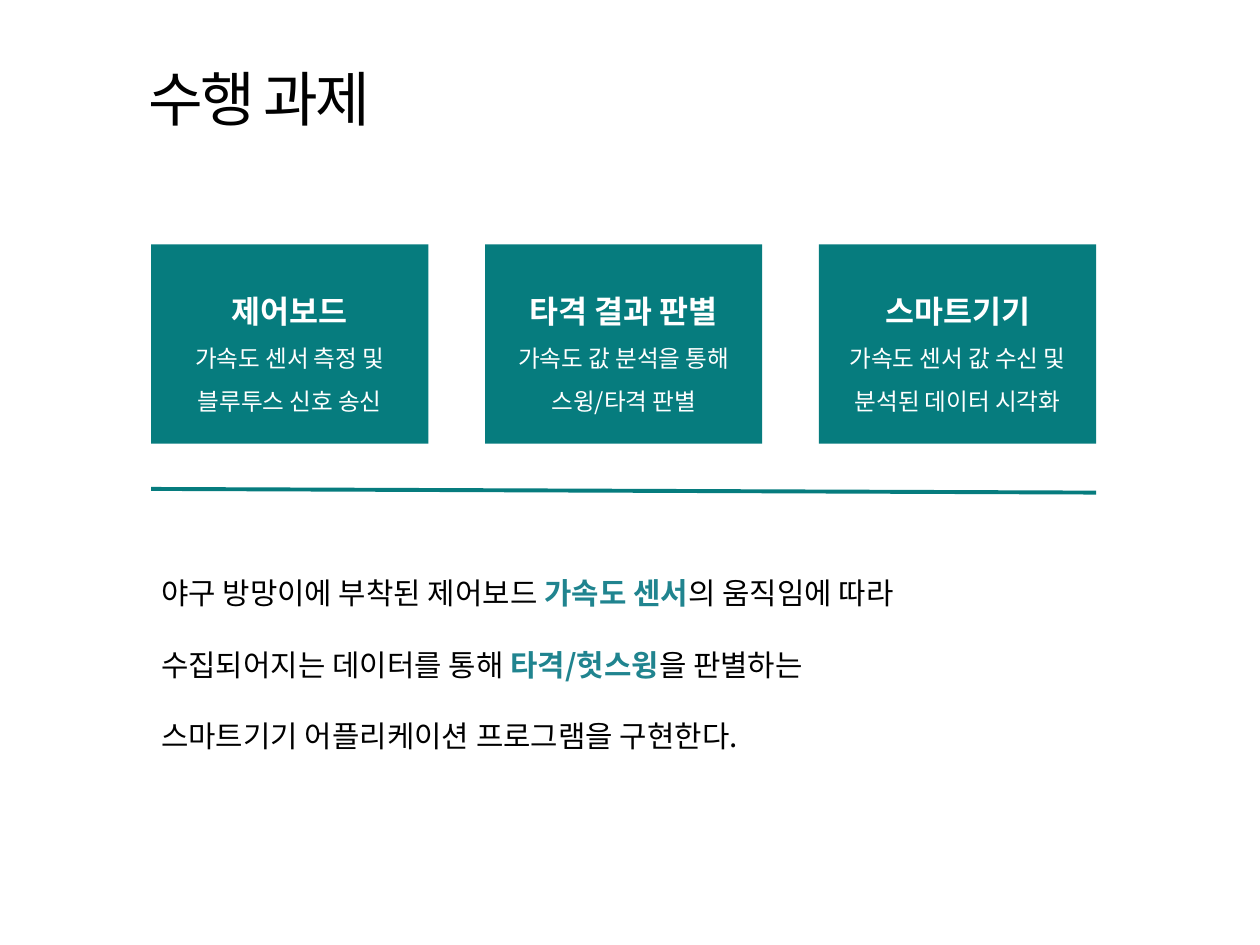
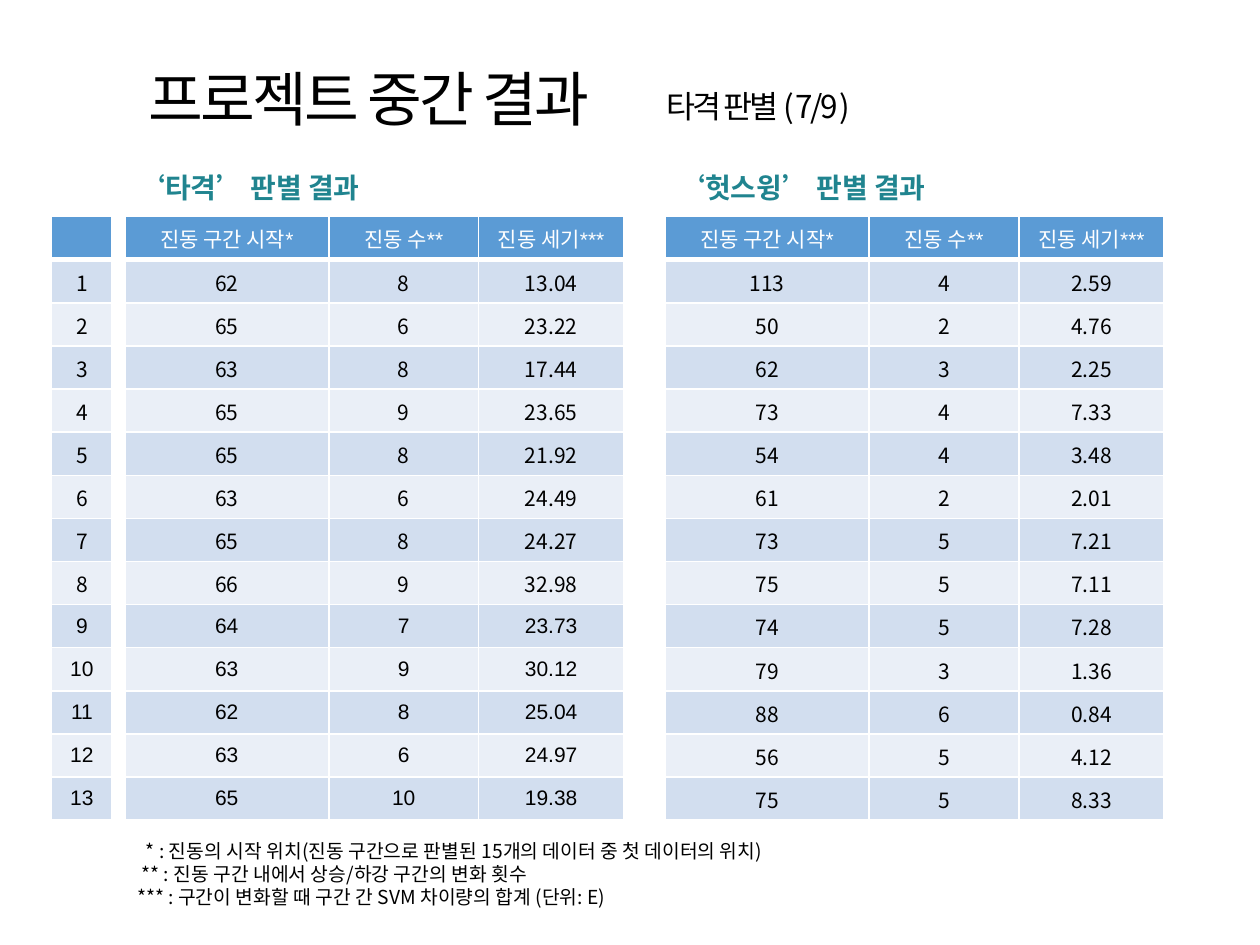
import pptx
import pptx.dml.color
import pptx.enum.shapes
import pptx.enum.text
import pptx.oxml.ns
import pptx.util
from lxml import etree

Pt = pptx.util.Pt
RGB = pptx.dml.color.RGBColor
ALIGN = pptx.enum.text.PP_ALIGN
MIDDLE = pptx.enum.text.MSO_ANCHOR.MIDDLE
qn = pptx.oxml.ns.qn

BLACK = RGB(0x00, 0x00, 0x00)
WHITE = RGB(0xFF, 0xFF, 0xFF)
TEAL = RGB(0x06, 0x7C, 0x7E)
ACCENT = RGB(0x20, 0x84, 0x8F)
HEAD = RGB(0x5B, 0x9B, 0xD5)
BANDS = (RGB(0xD2, 0xDE, 0xEF), RGB(0xEA, 0xEF, 0xF7))
NOTO = "Noto Sans CJK KR"
ARIAL = "Arial"


class Deck:
    def __init__(self):
        self.prs = pptx.Presentation()
        self.prs.slide_width = Pt(720)
        self.prs.slide_height = Pt(540)

    def page(self, title):
        self.slide = self.prs.slides.add_slide(self.prs.slide_layouts[6])
        self.text(77.8, 25.9, 301.7, 64.8, [title], 34, name=ARIAL,
                  gap=0.9, track=-150, anchor=MIDDLE)

    def style(self, para, size, color=BLACK, bold=False, name=NOTO, track=0):
        font = para.font
        font.size, font.bold, font.name = Pt(size), bold, name
        font.color.rgb = color
        props = font._element
        etree.SubElement(props, qn("a:ea")).set("typeface", NOTO)
        if track:
            props.set("spc", str(track))

    def text(self, x, y, w, h, lines, size, color=BLACK, bold=False,
             name=NOTO, gap=1, track=0, anchor=None, dents=()):
        box = self.slide.shapes.add_textbox(Pt(x), Pt(y), Pt(w), Pt(h))
        frame = box.text_frame
        frame.word_wrap = True
        if anchor is not None:
            frame.vertical_anchor = anchor
        for i, line in enumerate(lines):
            para = frame.add_paragraph() if i else frame.paragraphs[0]
            para.line_spacing = gap
            self.style(para, size, color, bold, name, track)
            if dents:
                para._p.get_or_add_pPr().set("marL", str(Pt(dents[i])))
            for j, part in enumerate(line.split("|")):
                run = para.add_run()
                run.text = part
                if j % 2:
                    run.font.bold = True
                    run.font.color.rgb = ACCENT

    def card(self, x, y, w, h, lines):
        box = self.slide.shapes.add_shape(
            pptx.enum.shapes.MSO_SHAPE.RECTANGLE, Pt(x), Pt(y), Pt(w), Pt(h))
        box.shadow.inherit = False
        box.fill.solid()
        box.fill.fore_color.rgb = TEAL
        box.line.fill.background()
        frame = box.text_frame
        frame.vertical_anchor = MIDDLE
        frame.text = "\n".join(lines)
        for i, para in enumerate(frame.paragraphs):
            para.alignment = ALIGN.CENTER
            para.line_spacing = 1.5
            self.style(para, 13.5 if i else 18, WHITE, bold=i == 0)

    def rule(self, x1, y1, x2, y2):
        line = self.slide.shapes.add_connector(
            pptx.enum.shapes.MSO_CONNECTOR.STRAIGHT,
            Pt(x1), Pt(y1), Pt(x2), Pt(y2))
        line.line.color.rgb = TEAL
        line.line.width = Pt(2.25)
        etree.SubElement(line._element.spPr, qn("a:effectLst"))

    def edge(self, cell, low):
        props = cell._tc.get_or_add_tcPr()
        for side in "LRTB":
            line = etree.SubElement(props, qn("a:ln" + side))
            line.set("w", str(Pt(low if side == "B" else 1)))
            fill = etree.SubElement(line, qn("a:solidFill"))
            etree.SubElement(fill, qn("a:srgbClr")).set("val", str(WHITE))

    def table(self, x, y, widths, high, rows, tight):
        grid = self.slide.shapes.add_table(
            len(rows), len(widths), Pt(x), Pt(y),
            Pt(sum(widths)), Pt(high * len(rows))).table
        for col, width in zip(grid.columns, widths):
            col.width = Pt(width)
        for r, row in enumerate(rows):
            grid.rows[r].height = Pt(high)
            for c, value in enumerate(row):
                cell = grid.cell(r, c)
                cell.text = value
                cell.vertical_anchor = MIDDLE
                snug = 0 < r <= tight
                if snug or not value:
                    cell.margin_left = cell.margin_right = Pt(0.7)
                    cell.margin_top, cell.margin_bottom = Pt(0.7), Pt(0)
                self.edge(cell, 1 if r else 3)
                cell.fill.solid()
                cell.fill.fore_color.rgb = BANDS[(r - 1) % 2] if r else HEAD
                para = cell.text_frame.paragraphs[0]
                para.alignment = ALIGN.CENTER
                self.style(para, 12, BLACK if r else WHITE,
                           name=NOTO if snug else ARIAL)


CARDS = (
    ("제어보드", "가속도 센서 측정 및", "블루투스 신호 송신"),
    ("타격 결과 판별", "가속도 값 분석을 통해", "스윙/타격 판별"),
    ("스마트기기", "가속도 센서 값 수신 및", "분석된 데이터 시각화"),
)
GOAL = (
    "야구 방망이에 부착된 제어보드 |가속도 센서|의 움직임에 따라",
    "수집되어지는 데이터를 통해 |타격/헛스윙|을 판별하는",
    "스마트기기 어플리케이션 프로그램을 구현한다.",
)
NAMES = ("진동 구간 시작*", "진동 수**", "진동 세기***")
HITS = (
    "62 8 13.04", "65 6 23.22", "63 8 17.44", "65 9 23.65", "65 8 21.92",
    "63 6 24.49", "65 8 24.27", "66 9 32.98", "64 7 23.73", "63 9 30.12",
    "62 8 25.04", "63 6 24.97", "65 10 19.38",
)
MISSES = (
    "113 4 2.59", "50 2 4.76", "62 3 2.25", "73 4 7.33", "54 4 3.48",
    "61 2 2.01", "73 5 7.21", "75 5 7.11", "74 5 7.28", "79 3 1.36",
    "88 6 0.84", "56 5 4.12", "75 5 8.33",
)
NOTES = (
    "* : 진동의 시작 위치(진동 구간으로 판별된 15개의 데이터 중 첫 데이터의 위치)",
    "** : 진동 구간 내에서 상승/하강 구간의 변화 횟수",
    "*** : 구간이 변화할 때 구간 간 SVM 차이량의 합계 (단위: E)",
)


def tasks(deck):
    deck.page("수행 과제")
    deck.rule(86.4, 279.4, 626.4, 281.5)
    deck.text(85, 304.6, 529.2, 131, GOAL, 17, gap=2)
    for i, lines in enumerate(CARDS):
        deck.card(86.4 + 190.8 * i, 139.7, 158.4, 113.8, lines)


def results(deck):
    deck.page("프로젝트 중간 결과")
    deck.text(373.7, 45.4, 143.3, 33.1, ["타격 판별 ( 7/9 )"], 18,
              gap=0.9, track=-150, anchor=MIDDLE)
    top, high = 123.8, 24.65
    sets = ((71.3, "타격", HITS, 8), (380, "헛스윙", MISSES, 13))
    for x, kind, data, tight in sets:
        deck.text(x, 84.2, 294, 36, [f"‘{kind}’ 판별 결과"], 16, ACCENT,
                  bold=True, gap=1.5)
        rows = [NAMES] + [row.split() for row in data]
        deck.table(x, top, (116.6, 85.7, 82.8), high, rows, tight)
    count = [[""]] + [[str(n + 1)] for n in range(len(HITS))]
    deck.table(29.5, top, (34.6,), high, count, 8)
    deck.text(71.3, 475.9, 596.2, 47.5, NOTES, 11, dents=(5, 2.5, 0))


def main():
    deck = Deck()
    tasks(deck)
    results(deck)
    deck.prs.save("out.pptx")


if __name__ == "__main__":
    main()
